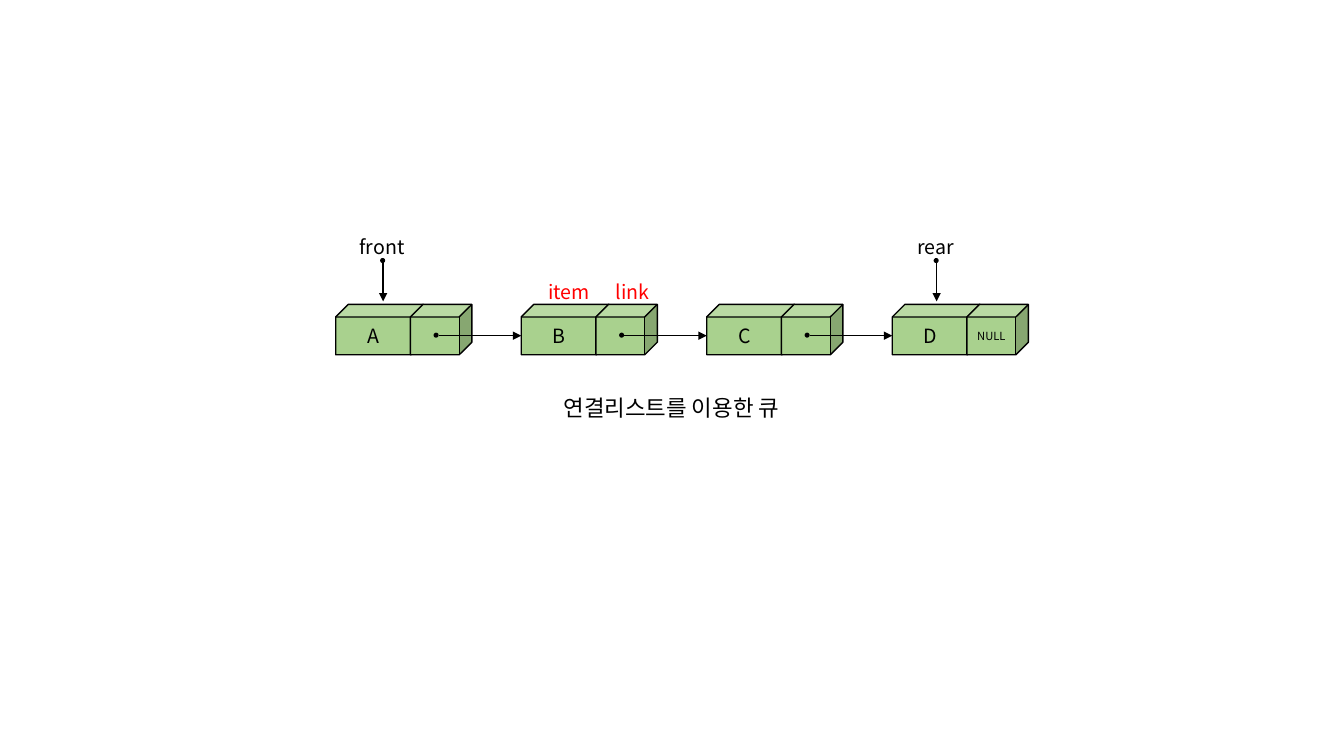
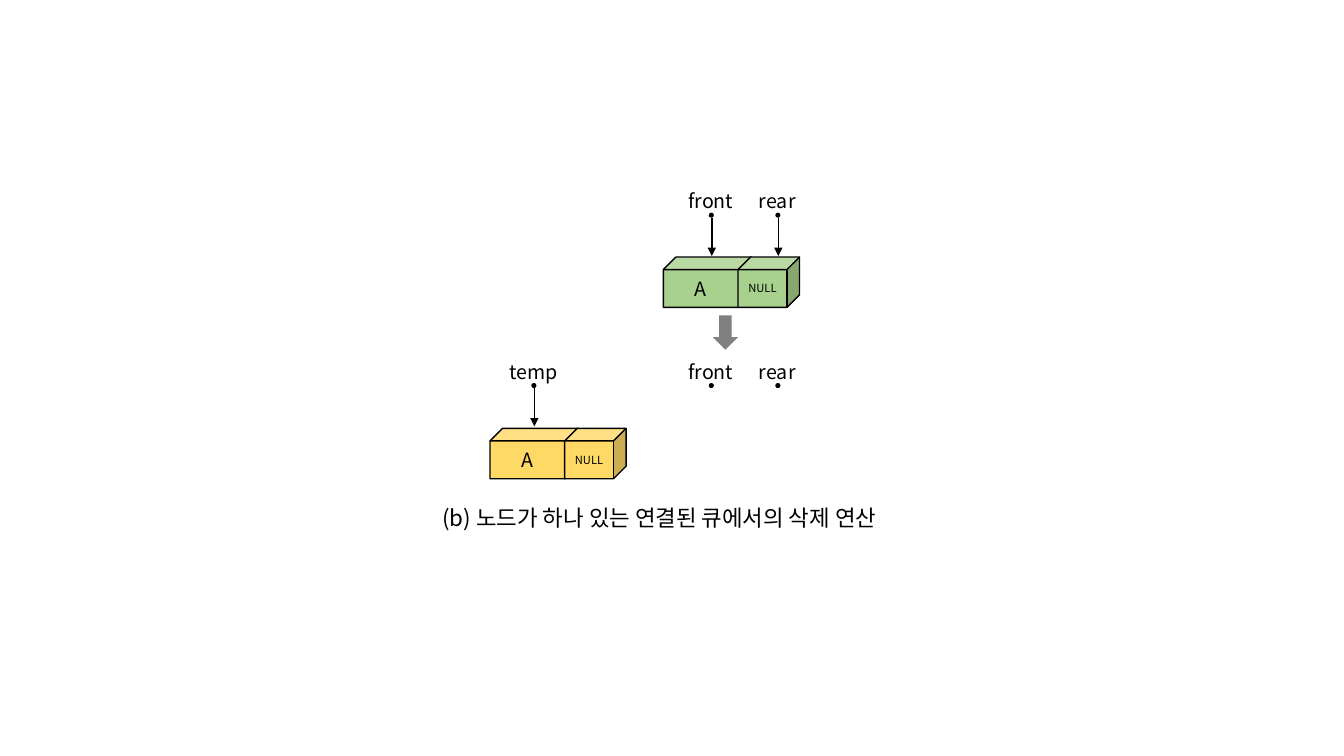
"""Draw linked-list queue diagrams: a full queue and a single-node deletion."""

from dataclasses import dataclass

from lxml.etree import SubElement
from pptx import Presentation
from pptx.dml.color import RGBColor
from pptx.enum.shapes import MSO_CONNECTOR, MSO_SHAPE
from pptx.enum.text import MSO_ANCHOR, MSO_AUTO_SIZE, PP_ALIGN
from pptx.oxml.ns import qn
from pptx.shapes.autoshape import Shape
from pptx.slide import Slide
from pptx.text.text import TextFrame
from pptx.util import Inches, Pt


@dataclass(frozen=True)
class Theme:
    font: str = "Noto Sans CJK KR"
    ink: RGBColor = RGBColor(0x00, 0x00, 0x00)
    field_name: RGBColor = RGBColor(0xFF, 0x00, 0x00)
    queued: RGBColor = RGBColor(0xA9, 0xD1, 0x8E)
    removed: RGBColor = RGBColor(0xFF, 0xD9, 0x66)
    step: RGBColor = RGBColor(0x80, 0x80, 0x80)
    caption_size: float = 16
    label_size: float = 14
    null_size: float = 8
    line_width: float = 1


@dataclass(frozen=True)
class Node:
    item: str
    left: float
    top: float
    fill: RGBColor
    link: str = ""


@dataclass(frozen=True)
class Pointer:
    name: str
    center: float
    top: float
    has_target: bool = True


THEME = Theme()
ITEM_WIDTH, LINK_WIDTH, NODE_HEIGHT = 0.87, 0.61, 0.5
LINK_OFFSET = 0.74
NODE_PITCH = 1.84
DOT_SIZE = 0.05
POINTER_WIDTH = 1.16


def write(frame: TextFrame, text: str, size: float, color: RGBColor) -> None:
    frame.text = text
    paragraph = frame.paragraphs[0]
    paragraph.alignment = PP_ALIGN.CENTER
    for run in paragraph.runs:
        run.font.name = THEME.font
        run.font.size = Pt(size)
        run.font.color.rgb = color
        east_asian = SubElement(run.font._element, qn("a:ea"))
        east_asian.set("typeface", THEME.font)


def add_label(slide: Slide, text: str, left: float, top: float, width: float,
              size: float = THEME.label_size, color: RGBColor = THEME.ink) -> None:
    height = 0.37 if size == THEME.caption_size else 0.34
    label = slide.shapes.add_textbox(Inches(left), Inches(top), Inches(width), Inches(height))
    frame = label.text_frame
    frame.word_wrap = True
    frame.auto_size = MSO_AUTO_SIZE.SHAPE_TO_FIT_TEXT
    write(frame, text, size, color)


def add_solid(slide: Slide, preset: MSO_SHAPE, left: float, top: float,
              width: float, height: float, fill: RGBColor) -> Shape:
    solid = slide.shapes.add_shape(preset, Inches(left), Inches(top), Inches(width), Inches(height))
    solid.shadow.inherit = False
    solid.fill.solid()
    solid.fill.fore_color.rgb = fill
    solid.line.fill.background()
    return solid


def add_dot(slide: Slide, left: float, top: float) -> None:
    add_solid(slide, MSO_SHAPE.OVAL, left, top, DOT_SIZE, DOT_SIZE, THEME.ink)


def add_cell(slide: Slide, text: str, left: float, top: float,
             width: float, size: float, fill: RGBColor) -> None:
    cell = add_solid(slide, MSO_SHAPE.CUBE, left, top, width, NODE_HEIGHT, fill)
    cell.line.color.rgb = THEME.ink
    cell.line.width = Pt(THEME.line_width)
    if text:
        frame = cell.text_frame
        frame.margin_left = frame.margin_right = Inches(0)
        frame.vertical_anchor = MSO_ANCHOR.MIDDLE
        write(frame, text, size, THEME.ink)


def add_arrow(slide: Slide, x1: float, y1: float, x2: float, y2: float) -> None:
    arrow = slide.shapes.add_connector(
        MSO_CONNECTOR.STRAIGHT, Inches(x1), Inches(y1), Inches(x2), Inches(y2))
    arrow.line.color.rgb = THEME.ink
    arrow.line.width = Pt(THEME.line_width)
    SubElement(arrow.line._get_or_add_ln(), qn("a:tailEnd")).set("type", "triangle")
    SubElement(arrow._element.spPr, qn("a:effectLst"))


def add_node(slide: Slide, node: Node) -> None:
    add_cell(slide, node.item, node.left, node.top, ITEM_WIDTH, THEME.label_size, node.fill)
    add_cell(slide, node.link, node.left + LINK_OFFSET, node.top,
             LINK_WIDTH, THEME.null_size, node.fill)


def add_link(slide: Slide, source: Node, target: Node) -> None:
    dot_left = source.left + 0.97
    add_dot(slide, dot_left, source.top + 0.28)
    middle = source.top + 0.31
    add_arrow(slide, dot_left + DOT_SIZE, middle, target.left, middle)


def add_pointer(slide: Slide, pointer: Pointer) -> None:
    add_label(slide, pointer.name, pointer.center - 0.59, pointer.top, POINTER_WIDTH)
    dot_top = pointer.top + 0.28
    add_dot(slide, pointer.center - 0.03, dot_top)
    if pointer.has_target:
        start = dot_top + DOT_SIZE
        add_arrow(slide, pointer.center, start, pointer.center, start + 0.38)


def add_caption(slide: Slide, text: str, left: float, top: float) -> None:
    add_label(slide, text, left, top, 8.58, THEME.caption_size)


def draw_queue(slide: Slide) -> None:
    items = "ABCD"
    nodes = [
        Node(item, 3.33 + index * NODE_PITCH, 3.02, THEME.queued,
             "NULL" if item == items[-1] else "")
        for index, item in enumerate(items)
    ]
    for node in nodes:
        add_node(slide, node)
    for source, target in zip(nodes, nodes[1:]):
        add_link(slide, source, target)
    for pointer in (Pointer("front", 3.8, 2.28), Pointer("rear", 9.29, 2.28)):
        add_pointer(slide, pointer)
    for field, left in (("item", 5.21), ("link", 5.84)):
        add_label(slide, field, left, 2.73, ITEM_WIDTH, color=THEME.field_name)
    add_caption(slide, "연결리스트를 이용한 큐", 2.37, 3.86)


def draw_deletion(slide: Slide) -> None:
    add_node(slide, Node("A", 6.58, 2.55, THEME.queued, "NULL"))
    add_node(slide, Node("A", 4.86, 4.25, THEME.removed, "NULL"))
    add_solid(slide, MSO_SHAPE.DOWN_ARROW, 7.07, 3.13, 0.25, 0.34, THEME.step)
    for top, has_target in ((1.83, True), (3.52, False)):
        for name, center in (("front", 7.06), ("rear", 7.72)):
            add_pointer(slide, Pointer(name, center, top, has_target))
    add_pointer(slide, Pointer("temp", 5.3, 3.52))
    add_caption(slide, "(b) 노드가 하나 있는 연결된 큐에서의 삭제 연산", 2.25, 4.95)


def main() -> None:
    deck = Presentation()
    deck.slide_width = Inches(13.33)
    deck.slide_height = Inches(7.5)
    for draw in (draw_queue, draw_deletion):
        draw(deck.slides.add_slide(deck.slide_layouts[6]))
    deck.save("out.pptx")


if __name__ == "__main__":
    main()
